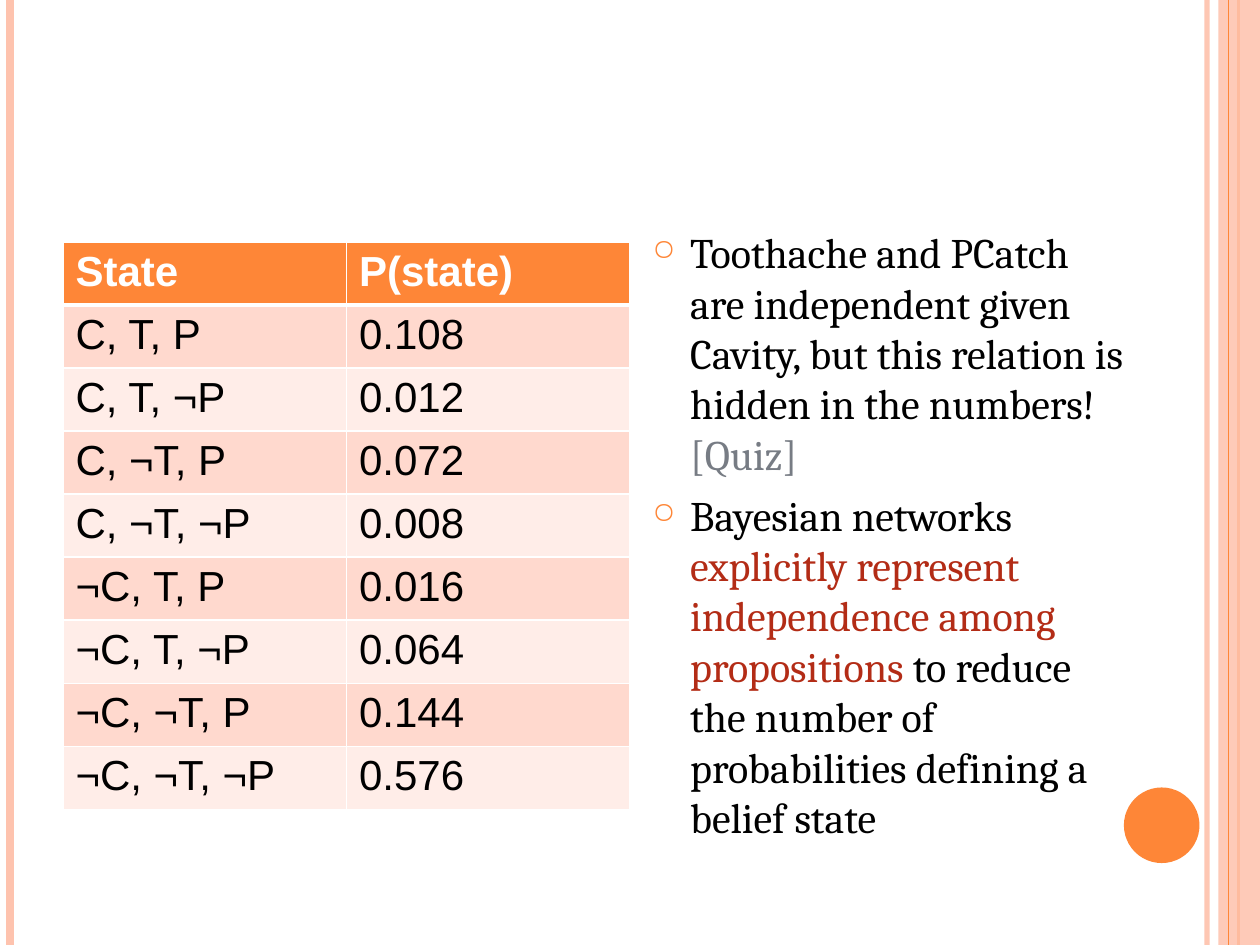
"""Build the slide with the joint probability table and the Bayesian network notes."""
from itertools import product

from lxml.etree import SubElement
from pptx import Presentation
from pptx.dml.color import RGBColor
from pptx.enum.shapes import MSO_CONNECTOR, MSO_SHAPE
from pptx.oxml.ns import qn
from pptx.util import Inches, Pt

ORANGE = RGBColor(0xFE, 0x86, 0x37)
PEACH = RGBColor(0xFE, 0xC3, 0xAE)
BAND_DARK = RGBColor(0xFF, 0xD9, 0xCE)
BAND_LIGHT = RGBColor(0xFF, 0xED, 0xE8)
WHITE = RGBColor(0xFF, 0xFF, 0xFF)
BLACK = RGBColor(0, 0, 0)
GRAY = RGBColor(0x77, 0x7C, 0x84)
RED = RGBColor(0xB3, 0x2C, 0x16)


def add_color(parent, color, alpha=None):
    fill = SubElement(parent, qn("a:solidFill"))
    clr = SubElement(fill, qn("a:srgbClr"), val=str(color))
    if alpha:
        SubElement(clr, qn("a:alpha"), val=str(alpha * 1000))


def add_run(p, text, font, color, bold=False):
    r = p.add_run()
    r.text = text
    r.font.name = font
    r.font.size = Pt(24)
    r.font.bold = bold
    r.font.color.rgb = color


prs = Presentation()
prs.slide_width, prs.slide_height = Inches(10), Inches(7.5)
s = prs.slides.add_slide(prs.slide_layouts[6])

stripes = [(9.58, PEACH, 3, 93), (0.08, PEACH, 4.5, None),
           (9.83, ORANGE, 1.5, None), (9.75, ORANGE, 0.75, None)]
for i, (x, color, width, alpha) in enumerate(stripes):
    if i == 3:
        band = s.shapes.add_shape(MSO_SHAPE.RECTANGLE, Inches(9.67), 0, Inches(0.33), Inches(7.5))
        band.shadow.inherit = False
        band.fill.solid()
        band.fill.fore_color.rgb = PEACH
        clr = band.fill._xPr.find(qn("a:solidFill"))[0]
        SubElement(clr, qn("a:alpha"), val="87000")
        band.line.fill.background()
    line = s.shapes.add_connector(MSO_CONNECTOR.STRAIGHT, Inches(x), 0, Inches(x), Inches(7.5))
    line.line.width = Pt(width)
    add_color(line.line._get_or_add_ln(), color, alpha)
    SubElement(line._element.spPr, qn("a:effectLst"))

dot = s.shapes.add_shape(MSO_SHAPE.OVAL, Inches(8.92), Inches(6.25), Inches(0.6), Inches(0.6))
dot.shadow.inherit = False
dot.fill.solid()
dot.fill.fore_color.rgb = ORANGE
dot.line.fill.background()

notes = [
    [("Toothache and PCatch are independent given Cavity, but this relation is "
      "hidden in the numbers! ", BLACK), ("[Quiz]", GRAY)],
    [("Bayesian networks ", BLACK),
     ("explicitly represent independence among propositions ", RED),
     ("to reduce the number of probabilities defining a belief state", BLACK)],
]
tf = s.shapes.add_textbox(Inches(5.08), Inches(1.75), Inches(4), Inches(5.33)).text_frame
tf.word_wrap = True
for i, runs in enumerate(notes):
    p = tf.add_paragraph() if i else tf.paragraphs[0]
    p.space_before = Pt(6)
    pPr = p._p.get_or_add_pPr()
    pPr.set("marL", str(Inches(0.3)))
    pPr.set("indent", str(Inches(-0.3)))
    bu = SubElement(pPr, qn("a:buClr"))
    SubElement(bu, qn("a:srgbClr"), val=str(ORANGE))
    SubElement(pPr, qn("a:buSzPct"), val="70000")
    SubElement(pPr, qn("a:buChar"), char="○")
    for text, color in runs:
        add_run(p, text, "Cambria", color)

states = [", ".join(signs) for signs in product(("C", "¬C"), ("T", "¬T"), ("P", "¬P"))]
probs = ["0.108", "0.012", "0.072", "0.008", "0.016", "0.064", "0.144", "0.576"]
rows = [("State", "P(state)"), *zip(states, probs)]
tbl = s.shapes.add_table(len(rows), 2, Inches(0.5), Inches(1.92), Inches(4.5), Inches(4.24)).table
for i, row in enumerate(rows):
    tbl.rows[i].height = Inches(0.47)
    for j, text in enumerate(row):
        cell = tbl.cell(i, j)
        add_run(cell.text_frame.paragraphs[0], text, "Arial", BLACK if i else WHITE, i == 0)
        tcPr = cell._tc.get_or_add_tcPr()
        for side in "LRTB":
            thick = (i, side) in ((0, "B"), (1, "T"))
            ln = SubElement(tcPr, qn(f"a:ln{side}"), w=str(Pt(3 if thick else 1)))
            add_color(ln, WHITE)
        cell.fill.solid()
        cell.fill.fore_color.rgb = (BAND_DARK if i % 2 else BAND_LIGHT) if i else ORANGE

prs.save("out.pptx")
